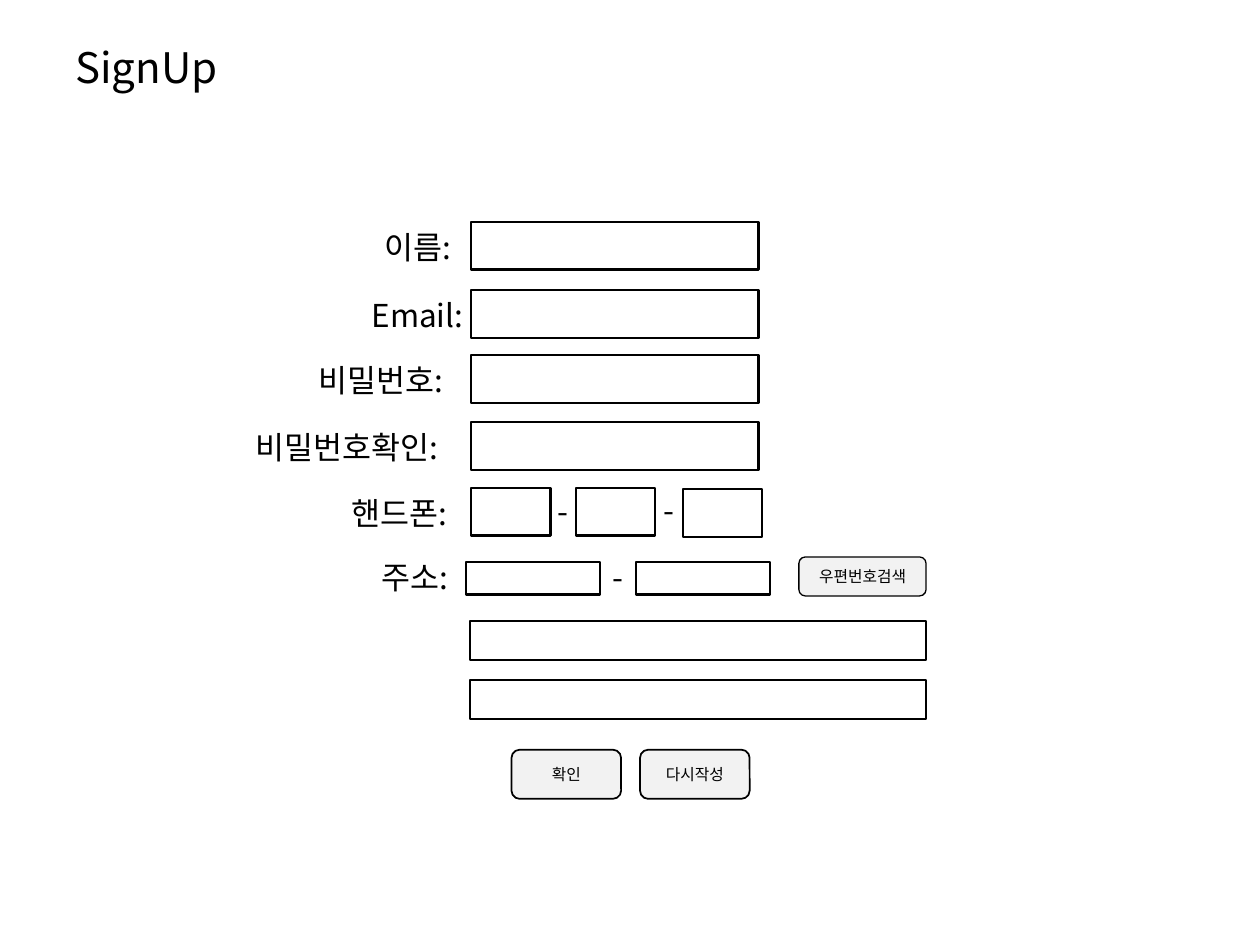
from lxml import etree
from pptx import Presentation
from pptx.dml.color import RGBColor
from pptx.enum.lang import MSO_LANGUAGE_ID
from pptx.enum.shapes import MSO_SHAPE
from pptx.enum.text import MSO_ANCHOR, MSO_AUTO_SIZE, PP_ALIGN
from pptx.oxml.ns import qn
from pptx.util import Inches, Pt

FONT = "Noto Sans CJK KR"
BLACK, BUTTON_GREY = "000000", "F2F2F2"
FIELD_LEFT, FIELD_WIDTH, FIELD_HEIGHT = 3.74, 2.28, 0.38
LABEL_HEIGHT = 0.4


def color(hex_code):
    """Turn a hex string into a colour."""
    return RGBColor.from_string(hex_code)


def write(frame, text, size):
    """Put one run of Korean-tagged text into a frame."""
    run = frame.paragraphs[0].add_run()
    run.text = text
    font = run.font
    font.name, font.size = FONT, Pt(size)
    font.color.rgb = color(BLACK)
    font.language_id = MSO_LANGUAGE_ID.KOREAN
    properties = run._r.get_or_add_rPr()
    etree.SubElement(properties, qn("a:ea")).set("typeface", FONT)


def add_title(slide, text, left, top, width, height):
    """Add the page title, centred vertically in its box."""
    frame = slide.shapes.add_textbox(*map(Inches, (left, top, width, height))).text_frame
    frame.word_wrap = True
    frame.vertical_anchor = MSO_ANCHOR.MIDDLE
    write(frame, text, 24)


def add_label(slide, text, left, top, width):
    """Add one unwrapped form label or dash."""
    frame = slide.shapes.add_textbox(
        *map(Inches, (left, top, width, LABEL_HEIGHT))).text_frame
    frame.word_wrap = False
    frame.auto_size = MSO_AUTO_SIZE.SHAPE_TO_FIT_TEXT
    write(frame, text, 18)


def add_box(slide, kind, left, top, width, height, line_width):
    """Add an unfilled black outline without a shadow."""
    box = slide.shapes.add_shape(kind, *map(Inches, (left, top, width, height)))
    box.shadow.inherit = False
    box.fill.background()
    box.line.color.rgb = color(BLACK)
    box.line.width = Pt(line_width)
    return box


def add_field(slide, left, top, width=FIELD_WIDTH, height=FIELD_HEIGHT):
    """Add an empty input field."""
    add_box(slide, MSO_SHAPE.RECTANGLE, left, top, width, height, 1.25)


def add_button(slide, text, left, top, width, height, line_width=1):
    """Add a rounded grey button with a centred caption."""
    button = add_box(slide, MSO_SHAPE.ROUNDED_RECTANGLE,
                     left, top, width, height, line_width)
    button.fill.solid()
    button.fill.fore_color.rgb = color(BUTTON_GREY)
    frame = button.text_frame
    frame.word_wrap = True
    frame.vertical_anchor = MSO_ANCHOR.MIDDLE
    frame.paragraphs[0].alignment = PP_ALIGN.CENTER
    write(frame, text, 9)


def add_account_rows(slide, left):
    """Add the labelled full-width fields, aligned at left."""
    rows = [("이름: ", 2.95, 1.76, 0.85), ("Email: ", 2.85, 2.3, 0.95),
            ("비밀번호: ", 2.43, 2.82, 1.36), ("비밀번호확인: ", 1.93, 3.35, 1.86)]
    for text, label_left, top, width in rows:
        add_label(slide, text, label_left, top, width)
        add_field(slide, left, top)


def add_phone_row(slide, left, top):
    """Add the three-part phone number."""
    add_label(slide, "핸드폰: ", left - 1.05, top, 1.1)
    for dx, dy in ((0, 0), (0.83, 0), (1.68, 0.01)):
        add_field(slide, left + dx, top + dy, 0.63)
    for dx, dy in ((0.59, -0.01), (1.43, -0.02)):
        add_label(slide, "-", left + dx, top + dy, 0.31)


def add_address(slide, left, top):
    """Add the postcode parts, search button and two address lines."""
    add_label(slide, "주소:", left - 0.77, top, 0.76)
    for dx in (0, 1.35):
        add_field(slide, left + dx, top + 0.08, 1.06, 0.26)
    add_label(slide, "-", left + 1.06, top, 0.31)
    add_button(slide, "우편번호검색", left + 2.64, top + 0.04, 1.01, 0.31, 0.75)
    for dy in (0.55, 1.02):
        add_field(slide, left + 0.03, top + dy, 3.62, 0.31)


def add_actions(slide, left, top):
    """Add the confirm and reset buttons."""
    for index, text in enumerate(("확인", "다시작성")):
        add_button(slide, text, left + index * 1.02, top, 0.87, 0.39)


deck = Presentation()
deck.slide_width, deck.slide_height = Inches(10), Inches(7.5)
signup = deck.slides.add_slide(deck.slide_layouts[6])
add_title(signup, "SignUp", 0.5, 0.3, 9, 0.46)
add_account_rows(signup, FIELD_LEFT)
add_phone_row(signup, FIELD_LEFT, 3.87)
add_address(signup, 3.7, 4.38)
add_actions(signup, 4.06, 5.95)
deck.save("out.pptx")
